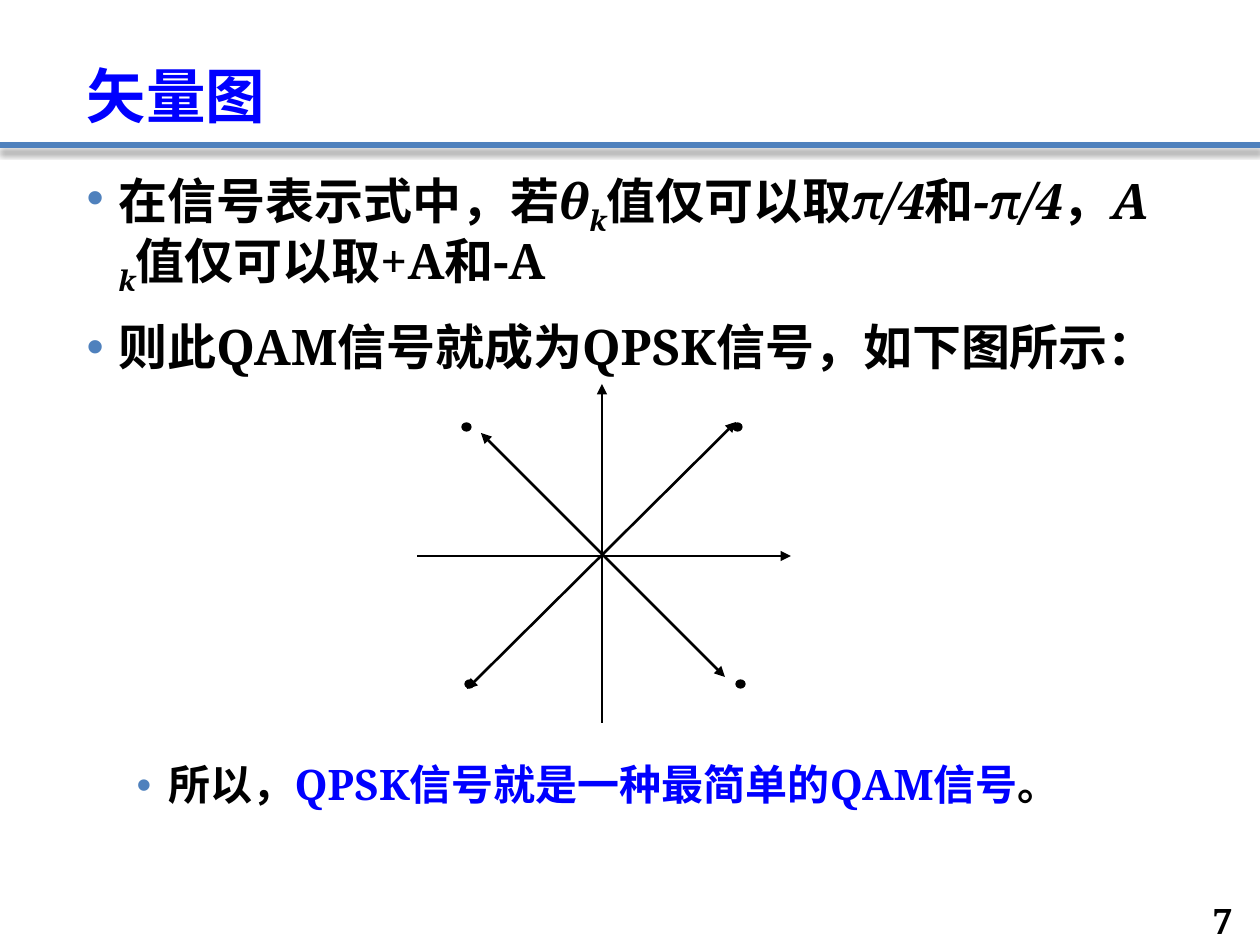
from lxml import etree
from pptx import Presentation, util as u
from pptx.dml.color import RGBColor
from pptx.enum import shapes, text
from pptx.oxml.ns import qn

PX = 914400 // 126
BLACK = RGBColor(0, 0, 0)
BLUE = RGBColor(0, 0, 255)
ACCENT = RGBColor(0x4F, 0x81, 0xBD)
FONT = "Noto Serif"

ITALIC = {"italic": True}
SUBSCRIPT = {"italic": True, "baseline": -25000}

# Level, size, space before, runs
BULLETS = [
    (0, 28, 18, [
        ("在信号表示式中，若", {}), ("θ", ITALIC), ("k", SUBSCRIPT),
        ("值仅可以取", {}), ("π/4", ITALIC), ("和", {}), ("-π/4", ITALIC),
        ("，", {}), ("A", ITALIC), (" k", SUBSCRIPT),
        ("值仅可以取+A和-A", {})]),
    (0, 28, 18, [("则此QAM信号就成为QPSK信号，如下图所示：", {})]),
    # The wide space leaves room for the diagram
    (1, 24, 222, [
        ("所以，", {}),
        ("QPSK信号就是一种最简单的QAM信号", {"color": BLUE}),
        ("。", {})]),
]
MARGINS = (32, 82)

# Start, end, width in points, arrowheads
VECTORS = [
    ((467, 689), (736, 422), 1.5, ("headEnd", "tailEnd")),
    ((725, 677), (481, 433), 1.5, ("headEnd", "tailEnd")),
]
AXES = [
    ((791, 556), (417, 556), 0.75, ("headEnd",)),
    ((602, 384), (602, 723), 0.75, ("headEnd",)),
]
POINTS = [(733, 423), (462, 423), (736, 680), (465, 680)]


def px(*lengths):
    return [length * PX for length in lengths]


def place(shape, *bounds):
    for name, value in zip(("left", "top", "width", "height"), px(*bounds)):
        setattr(shape, name, value)


def set_frame(frame, anchor):
    values = {"word_wrap": True, "auto_size": text.MSO_AUTO_SIZE.NONE,
              "vertical_anchor": anchor}
    for name, value in values.items():
        setattr(frame, name, value)


def add_span(para, words, size, color=BLACK, baseline=None, italic=False):
    span = para.add_run()
    span.text = words
    values = {"name": FONT, "size": u.Pt(size), "bold": True, "italic": italic}
    for name, value in values.items():
        setattr(span.font, name, value)
    span.font.color.rgb = color
    if baseline:
        span.font._element.set("baseline", str(baseline))


def format_para(para, **values):
    for name, value in values.items():
        setattr(para, name, value)


def add_bullet(para, level):
    props = para._p.get_or_add_pPr()
    props.set("marL", str(MARGINS[level] * PX))
    props.set("indent", str(-MARGINS[0] * PX))
    color = etree.SubElement(props, qn("a:buClr"))
    etree.SubElement(color, qn("a:srgbClr"), val=str(ACCENT))
    etree.SubElement(props, qn("a:buFont"), typeface="Arial")
    etree.SubElement(props, qn("a:buChar"), char="•")


def add_line(parent, start, end, width, heads=(), color=BLACK):
    line = parent.add_connector(shapes.MSO_CONNECTOR.STRAIGHT,
                                *px(*start, *end))
    line.line.color.rgb = color
    line.line.width = u.Pt(width)
    for head in heads:
        etree.SubElement(line.line._get_or_add_ln(), qn("a:" + head),
                         type="triangle")
    return etree.SubElement(line._element.spPr, qn("a:effectLst"))


def add_rule(page):
    effects = add_line(page.shapes, (0, 145), (1260, 145), 3, color=ACCENT)
    shadow = etree.SubElement(effects, qn("a:outerShdw"), blurRad="50800",
                              dist="38100", dir="5400000", rotWithShape="0")
    color = etree.SubElement(shadow, qn("a:srgbClr"), val=str(BLACK))
    etree.SubElement(color, qn("a:alpha"), val="43000")


def add_title(page):
    title = page.shapes.title
    place(title, 74, 26, 1111, 112)
    set_frame(title.text_frame, text.MSO_ANCHOR.BOTTOM)
    para = title.text_frame.paragraphs[0]
    format_para(para, alignment=text.PP_ALIGN.LEFT, line_spacing=0.9)
    add_span(para, "矢量图", 34, BLUE)


def add_body(page):
    body = page.placeholders[1]
    place(body, 74, 165, 1111, 694)
    frame = body.text_frame
    set_frame(frame, text.MSO_ANCHOR.TOP)
    for index, (level, size, space, spans) in enumerate(BULLETS):
        para = frame.add_paragraph() if index else frame.paragraphs[0]
        format_para(para, level=level, line_spacing=0.9,
                    space_before=u.Pt(space))
        add_bullet(para, level)
        for words, values in spans:
            add_span(para, words, size, **values)


def add_page_number(page):
    box = page.shapes.add_textbox(*px(1158, 903, 87, 35))
    set_frame(box.text_frame, text.MSO_ANCHOR.MIDDLE)
    para = box.text_frame.paragraphs[0]
    para.alignment = text.PP_ALIGN.RIGHT
    add_span(para, "7", 20)


def add_point(parent, left, top):
    point = parent.add_shape(shapes.MSO_SHAPE.OVAL, *px(left, top, 9, 8))
    point.shadow.inherit = False
    point.fill.solid()
    point.fill.fore_color.rgb = BLACK
    point.line.color.rgb = BLACK
    point.line.width = u.Pt(0.75)


def add_diagram(page):
    parent = page.shapes.add_group_shape().shapes
    for line in VECTORS + AXES:
        add_line(parent, *line)
    for point in POINTS:
        add_point(parent, *point)


def main():
    deck = Presentation()
    deck.slide_width, deck.slide_height = u.Inches(10), u.Inches(7.5)
    page = deck.slides.add_slide(deck.slide_layouts[1])
    add_rule(page)
    add_title(page)
    add_body(page)
    add_page_number(page)
    add_diagram(page)
    deck.save("out.pptx")


main()
